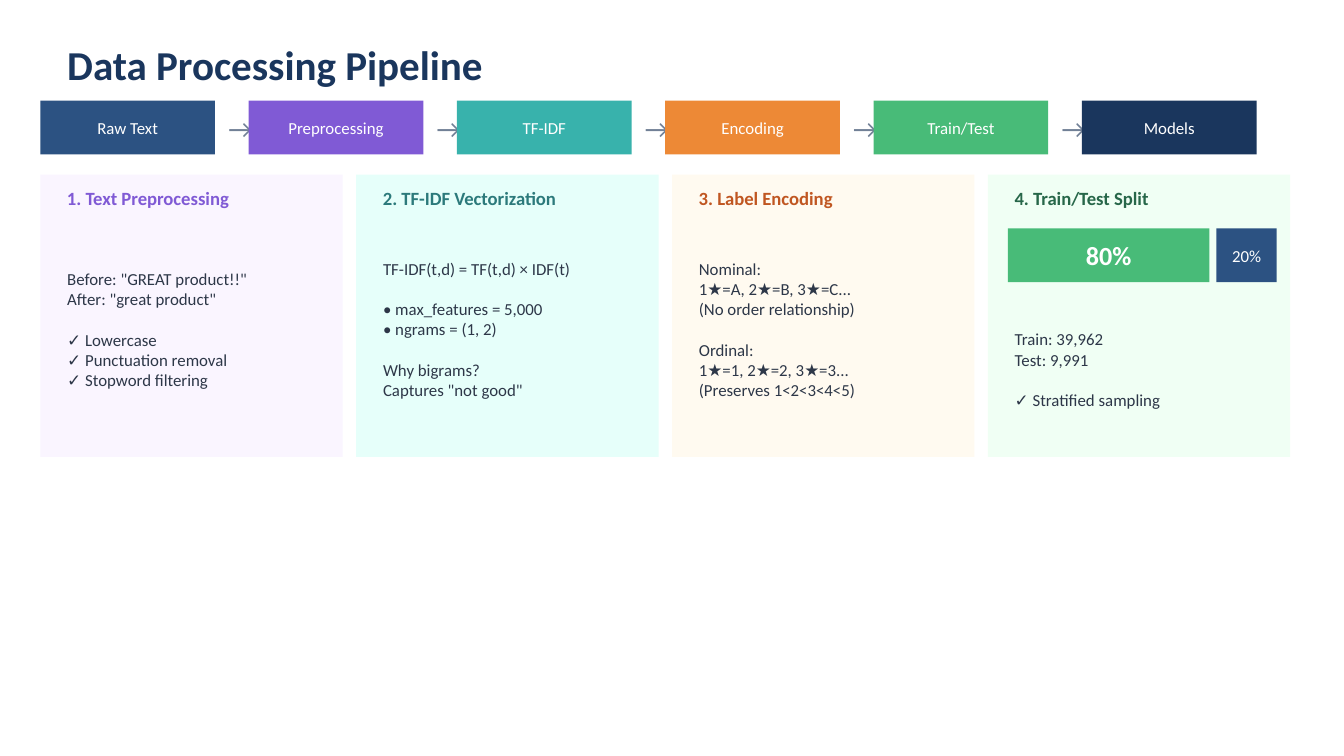
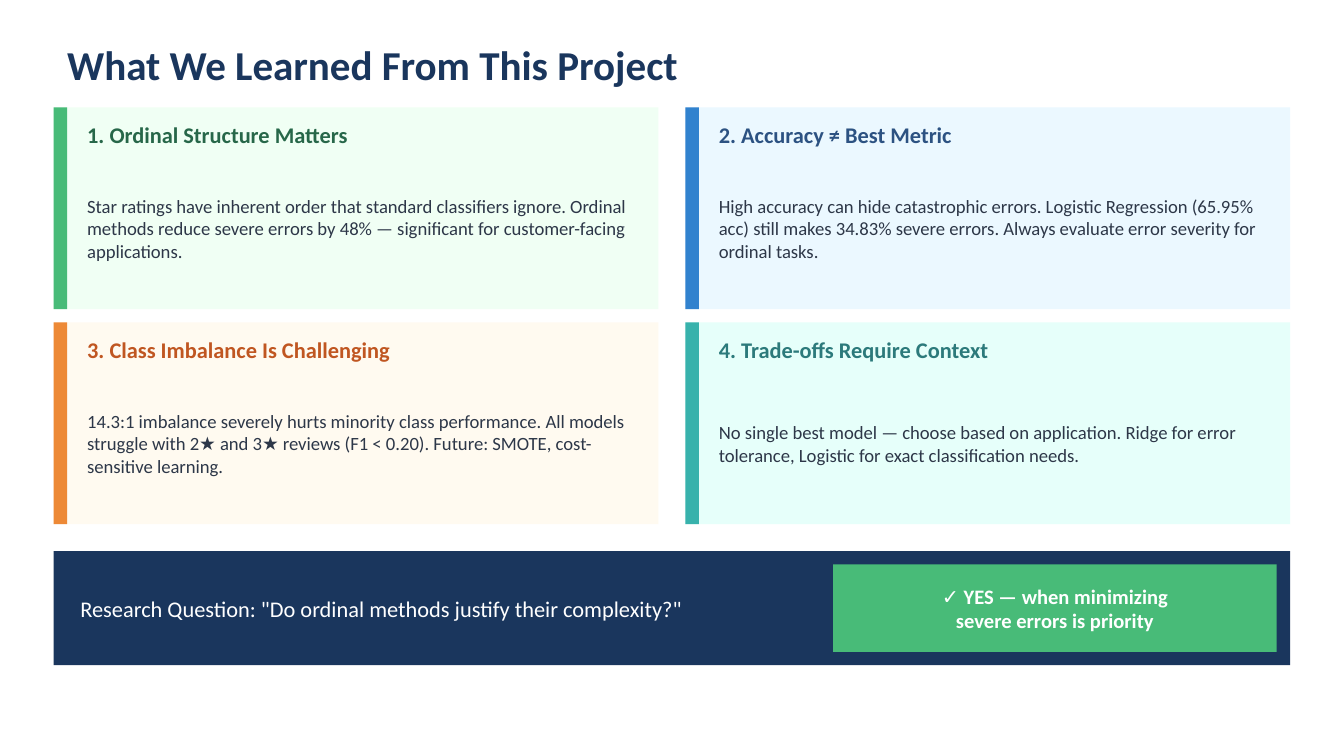
import pptx
import pptx.util
import pptx.dml.color
import pptx.enum.shapes
import pptx.enum.text
import pptx.oxml.ns
import lxml.etree

RGB = pptx.dml.color.RGBColor
ALIGN = pptx.enum.text.PP_ALIGN
PX = 4572

NAVY = RGB(0x1A, 0x36, 0x5D)
DARK_BLUE = RGB(0x2C, 0x52, 0x82)
BLUE = RGB(0x31, 0x82, 0xCE)
PURPLE = RGB(0x80, 0x5A, 0xD5)
TEAL = RGB(0x38, 0xB2, 0xAC)
DARK_TEAL = RGB(0x2C, 0x7A, 0x7B)
ORANGE = RGB(0xED, 0x89, 0x36)
RUST = RGB(0xC0, 0x56, 0x21)
GREEN = RGB(0x48, 0xBB, 0x78)
DARK_GREEN = RGB(0x27, 0x67, 0x49)
GREY = RGB(0x71, 0x80, 0x96)
INK = RGB(0x2D, 0x37, 0x48)
WHITE = RGB(0xFF, 0xFF, 0xFF)
PALE_PURPLE = RGB(0xFA, 0xF5, 0xFF)
PALE_TEAL = RGB(0xE6, 0xFF, 0xFA)
PALE_ORANGE = RGB(0xFF, 0xFA, 0xF0)
PALE_GREEN = RGB(0xF0, 0xFF, 0xF4)
PALE_BLUE = RGB(0xEB, 0xF8, 0xFF)

TITLE_ONLY = 5
COMPARISON = 4


def px(*lengths):
    return [n * PX for n in lengths]


def write(tf, text, size=9, color=INK, bold=False, align=ALIGN.LEFT, gap=11):
    tf.word_wrap = True
    tf.auto_size = pptx.enum.text.MSO_AUTO_SIZE.NONE
    tf.vertical_anchor = pptx.enum.text.MSO_ANCHOR.MIDDLE
    p = None
    for g, group in enumerate(text.split("\n\n")):
        for i, line in enumerate(group.split("\n")):
            p = tf.add_paragraph() if p is not None else tf.paragraphs[0]
            p.alignment = align
            p.space_before = pptx.util.Pt(gap if g and not i else 0)
            r = p.add_run()
            r.text = line
            r.font.name = "Calibri"
            r.font.size = pptx.util.Pt(size)
            r.font.bold = bold
            r.font.color.rgb = color


class Deck:
    def __init__(self, width, height):
        self.prs = pptx.Presentation()
        self.prs.slide_width, self.prs.slide_height = px(width, height)
        self.s = None

    def slide(self, title, layout=TITLE_ONLY):
        self.s = self.prs.slides.add_slide(self.prs.slide_layouts[layout])
        sp = self.s.shapes.title
        self.place(sp, 80, 50, 1840, 90)
        write(sp.text_frame, title, size=22, color=NAVY, bold=True)

    def place(self, sp, *box):
        sp.left, sp.top, sp.width, sp.height = px(*box)

    def rect(self, x, y, w, h, fill):
        sp = self.s.shapes.add_shape(
            pptx.enum.shapes.MSO_SHAPE.RECTANGLE, *px(x, y, w, h))
        sp.shadow.inherit = False
        sp.fill.solid()
        sp.fill.fore_color.rgb = fill
        sp.line.fill.background()

    def text(self, x, y, w, h, text, **fmt):
        sp = self.s.shapes.add_textbox(*px(x, y, w, h))
        write(sp.text_frame, text, **fmt)

    def body(self, idx, x, y, w, h, text, **fmt):
        sp = self.s.placeholders[idx]
        self.place(sp, x, y, w, h)
        write(sp.text_frame, text, **fmt)
        for p in sp.text_frame.paragraphs:
            pPr = p._p.get_or_add_pPr()
            pPr.set("marL", "0")
            pPr.set("indent", "0")
            lxml.etree.SubElement(pPr, pptx.oxml.ns.qn("a:buNone"))
        sp.element.getparent().append(sp.element)

    def block(self, x, y, w, fill, text, **fmt):
        self.rect(x, y, w, 80, fill)
        self.text(x, y + 5, w, 70, text, color=WHITE, align=ALIGN.CENTER, **fmt)


def pipeline(deck):
    deck.slide("Data Processing Pipeline", COMPARISON)
    steps = [("Raw Text", DARK_BLUE), ("Preprocessing", PURPLE), ("TF-IDF", TEAL),
             ("Encoding", ORANGE), ("Train/Test", GREEN), ("Models", NAVY)]
    for i, (name, fill) in enumerate(steps):
        x = 60 + 310 * i
        deck.block(x, 150, 260, fill, name)
        if i < len(steps) - 1:
            deck.text(x + 260, 150, 50, 80, "→", size=14, color=GREY, align=ALIGN.CENTER)

    cards = [
        ("1. Text Preprocessing", PURPLE, PALE_PURPLE, 330, 320,
         'Before: "GREAT product!!"\nAfter: "great product"\n\n'
         "✓ Lowercase\n✓ Punctuation removal\n✓ Stopword filtering"),
        ("2. TF-IDF Vectorization", DARK_TEAL, PALE_TEAL, 330, 320,
         "TF-IDF(t,d) = TF(t,d) × IDF(t)\n\n"
         "• max_features = 5,000\n• ngrams = (1, 2)\n\n"
         'Why bigrams?\nCaptures "not good"'),
        ("3. Label Encoding", RUST, PALE_ORANGE, 330, 320,
         "Nominal:\n1★=A, 2★=B, 3★=C...\n(No order relationship)\n\n"
         "Ordinal:\n1★=1, 2★=2, 3★=3...\n(Preserves 1<2<3<4<5)"),
        ("4. Train/Test Split", DARK_GREEN, PALE_GREEN, 440, 220,
         "Train: 39,962\nTest: 9,991\n\n✓ Stratified sampling"),
    ]
    for i, (head, color, fill, top, height, lines) in enumerate(cards):
        x = 60 + 470 * i
        deck.rect(x, 260, 450, 420, fill)
        deck.text(x + 20, 270, 410, 50, head, size=10, color=color, bold=True)
        deck.body(i + 1, x + 20, top, 410, height, lines)
    deck.block(1500, 340, 300, GREEN, "80%", size=14, bold=True)
    deck.block(1810, 340, 90, DARK_BLUE, "20%")


def lessons(deck):
    deck.slide("What We Learned From This Project")
    for sp in list(deck.s.placeholders):
        if not sp.text_frame.text:
            sp.element.getparent().remove(sp.element)
    cards = [
        ("1. Ordinal Structure Matters", DARK_GREEN, GREEN, PALE_GREEN,
         "Star ratings have inherent order that standard classifiers ignore. "
         "Ordinal methods reduce severe errors by 48% — significant for "
         "customer-facing applications."),
        ("2. Accuracy ≠ Best Metric", DARK_BLUE, BLUE, PALE_BLUE,
         "High accuracy can hide catastrophic errors. Logistic Regression "
         "(65.95% acc) still makes 34.83% severe errors. Always evaluate "
         "error severity for ordinal tasks."),
        ("3. Class Imbalance Is Challenging", RUST, ORANGE, PALE_ORANGE,
         "14.3:1 imbalance severely hurts minority class performance. All "
         "models struggle with 2★ and 3★ reviews (F1 < 0.20). Future: SMOTE, "
         "cost-sensitive learning."),
        ("4. Trade-offs Require Context", DARK_TEAL, TEAL, PALE_TEAL,
         "No single best model — choose based on application. Ridge for error "
         "tolerance, Logistic for exact classification needs."),
    ]
    for i, (head, color, accent, fill, text) in enumerate(cards):
        x, y = 80 + 940 * (i % 2), 160 + 320 * (i // 2)
        deck.rect(x, y, 900, 300, fill)
        deck.rect(x, y, 20, 300, accent)
        deck.text(x + 30, y + 10, 850, 60, head, size=12, color=color, bold=True)
        deck.text(x + 30, y + 80, 850, 200, text, size=10)

    deck.rect(80, 820, 1840, 170, NAVY)
    deck.text(100, 830, 1100, 150,
              'Research Question: "Do ordinal methods justify their complexity?"',
              size=12, color=WHITE)
    deck.rect(1240, 840, 660, 130, GREEN)
    deck.text(1260, 850, 620, 110, "✓ YES — when minimizing\nsevere errors is priority",
              size=11, color=WHITE, bold=True, align=ALIGN.CENTER)


def main():
    deck = Deck(2000, 1125)
    pipeline(deck)
    lessons(deck)
    deck.prs.save("out.pptx")


if __name__ == "__main__":
    main()
